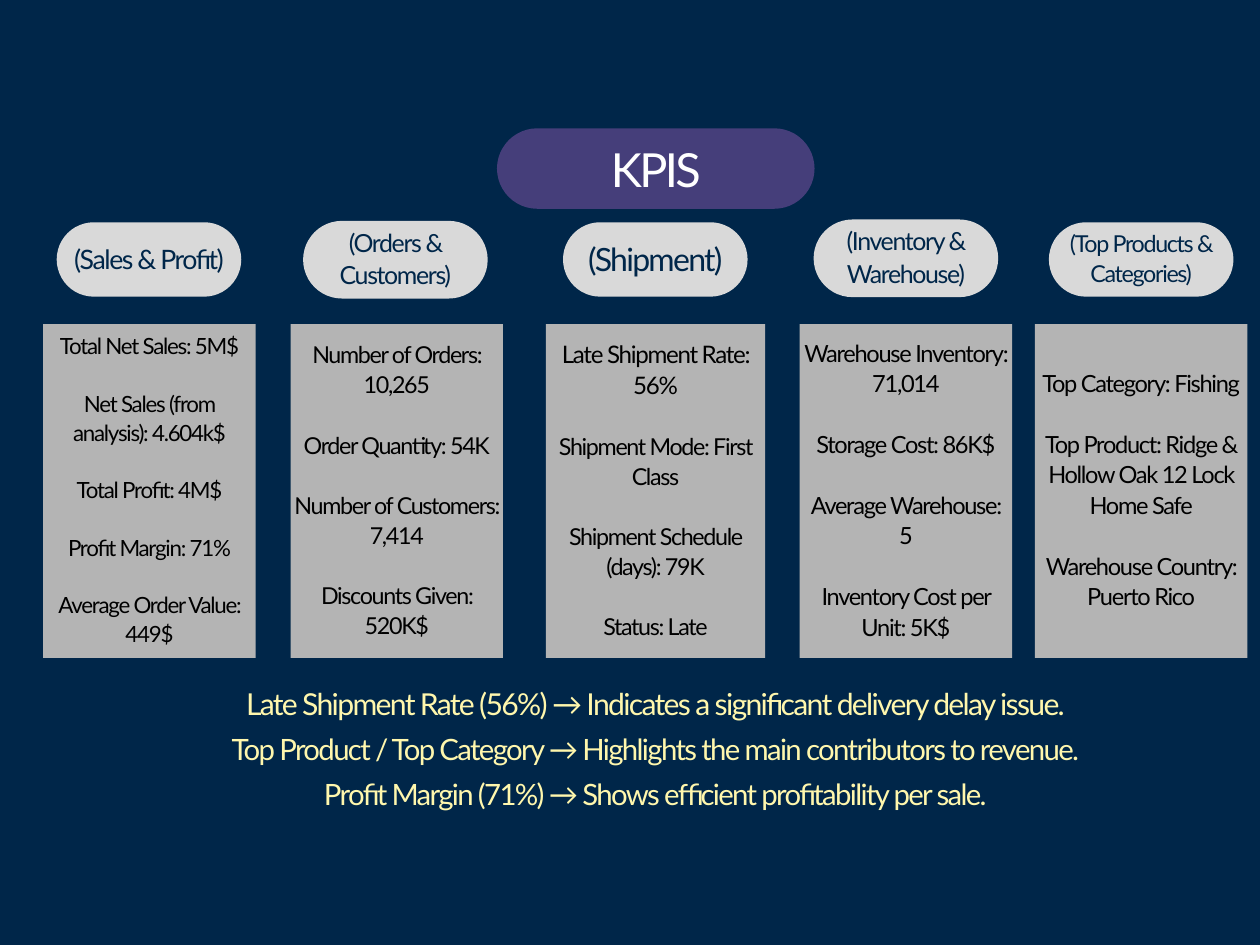
from dataclasses import dataclass

import pptx
import pptx.dml.color
import pptx.enum.shapes
import pptx.enum.text
import pptx.oxml
import pptx.oxml.ns
import pptx.shapes.autoshape
import pptx.slide
import pptx.text.text
import pptx.util

Cm = pptx.util.Cm
Pt = pptx.util.Pt
RGBColor = pptx.dml.color.RGBColor
Anchor = pptx.enum.text.MSO_ANCHOR
Preset = pptx.enum.shapes.MSO_SHAPE

NAVY = RGBColor(0x00, 0x26, 0x49)
PURPLE = RGBColor(0x45, 0x3E, 0x7A)
LIGHT_GREY = RGBColor(0xD9, 0xD9, 0xD9)
GREY = RGBColor(0xB4, 0xB4, 0xB4)
BLACK = RGBColor(0x00, 0x00, 0x00)
WHITE = RGBColor(0xFF, 0xFF, 0xFF)
CREAM = RGBColor(0xFF, 0xF7, 0xAD)

FONT = "Lato"
LEADING = 1.29  # line height, as a share of the font size
TRACKING = -0.055  # letter spacing, as a share of the font size
INSET = 0.08
LABEL_RISE = 0.1  # how far a label box starts above its pill
PILL_WIDTH = 3.97
PANEL_TOP, PANEL_HEIGHT = 6.97, 7.18


@dataclass
class Line:
    text: str
    size: float


@dataclass
class Box:
    """Place and size in centimetres."""
    left: float
    top: float
    width: float
    height: float

    def lengths(self) -> tuple:
        return Cm(self.left), Cm(self.top), Cm(self.width), Cm(self.height)


@dataclass
class KpiGroup:
    heading: Line
    pill: Box
    panel_left: float
    figures: list[Line]
    panel_width: float = 4.57


def lines(size: float, *texts: str) -> list[Line]:
    return [Line(text, size) for text in texts]


GROUPS = [
    KpiGroup(
        Line("(Sales & Profit)", 16.3), Box(1.22, 4.78, PILL_WIDTH, 1.6), 0.93,
        lines(13.6, "Total Net Sales: 5M$", "Net Sales (from analysis): 4.604k$",
              "Total Profit: 4M$", "Profit Margin: 71%", "Average Order Value: 449$")),
    KpiGroup(
        Line("(Orders & Customers)", 15.2), Box(6.52, 4.75, PILL_WIDTH, 1.67), 6.25,
        lines(14.2, "Number of Orders: 10,265", "Order Quantity: 54K",
              "Number of Customers: 7,414", "Discounts Given: 520K$")),
    KpiGroup(
        Line("(Shipment)", 19.5), Box(12.11, 4.78, PILL_WIDTH, 1.6), 11.74,
        lines(14.7, "Late Shipment Rate: 56%")
        + lines(14.2, "Shipment Mode: First Class", "Shipment Schedule (days): 79K",
                "Status: Late"),
        panel_width=4.72),
    KpiGroup(
        Line("(Inventory & Warehouse)", 15.2), Box(17.5, 4.72, PILL_WIDTH, 1.67), 17.2,
        lines(14.4, "Warehouse Inventory: 71,014", "Storage Cost: 86K$",
              "Average Warehouse: 5", "Inventory Cost per Unit: 5K$")),
    KpiGroup(
        Line("(Top Products & Categories)", 14.2), Box(22.56, 4.78, PILL_WIDTH, 1.6), 22.26,
        lines(14.4, "Top Category: Fishing",
              "Top Product: Ridge & Hollow Oak 12 Lock Home Safe",
              "Warehouse Country: Puerto Rico")),
]

TAKEAWAYS = [
    Line("Late Shipment Rate (56%) → Indicates a significant delivery delay issue.", 18.4),
    *lines(17.9, "Top Product / Top Category → Highlights the main contributors to revenue.",
           "Profit Margin (71%) → Shows efficient profitability per sale."),
]


def write(frame: pptx.text.text.TextFrame, content: list[Line], color: RGBColor,
          gap: float = LEADING, anchor: Anchor = Anchor.MIDDLE, extra_bottom: float = 0) -> None:
    """Fill a frame with centred paragraphs; gap is a share of the font size."""
    frame.word_wrap = True
    frame.auto_size = pptx.enum.text.MSO_AUTO_SIZE.NONE
    frame.vertical_anchor = anchor
    frame.margin_left = frame.margin_right = frame.margin_top = Cm(INSET)
    frame.margin_bottom = Cm(INSET + extra_bottom)
    frame.text = "\n".join(line.text for line in content)
    for index, (paragraph, line) in enumerate(zip(frame.paragraphs, content)):
        paragraph.alignment = pptx.enum.text.PP_ALIGN.CENTER
        paragraph.line_spacing = Pt(line.size * LEADING)
        paragraph.space_before = Pt(line.size * gap if index else 0)
        for run in paragraph.runs:
            run.font.name = FONT
            run.font.size = Pt(line.size)
            run.font.color.rgb = color
            run.font._element.set("spc", str(round(line.size * TRACKING * 100)))


def add_block(slide: pptx.slide.Slide, preset: Preset, box: Box,
              color: RGBColor) -> pptx.shapes.autoshape.Shape:
    block = slide.shapes.add_shape(preset, *box.lengths())
    block.shadow.inherit = False
    block.fill.solid()
    block.fill.fore_color.rgb = color
    block.line.fill.background()
    return block


def add_pill(slide: pptx.slide.Slide, box: Box, color: RGBColor) -> None:
    pill = add_block(slide, Preset.ROUNDED_RECTANGLE, box, color)
    pill.adjustments[0] = 0.5


def label_box(pill: Box) -> Box:
    return Box(pill.left, pill.top - LABEL_RISE, pill.width, pill.height + LABEL_RISE)


def place(shape: pptx.shapes.autoshape.Shape, box: Box) -> None:
    shape.left, shape.top, shape.width, shape.height = box.lengths()


def add_group(slide: pptx.slide.Slide, group: KpiGroup) -> None:
    add_pill(slide, group.pill, LIGHT_GREY)
    heading = slide.shapes.add_textbox(*label_box(group.pill).lengths())
    write(heading.text_frame, [group.heading], NAVY)
    panel_box = Box(group.panel_left, PANEL_TOP, group.panel_width, PANEL_HEIGHT)
    panel = add_block(slide, Preset.RECTANGLE, panel_box, GREY)
    write(panel.text_frame, group.figures, BLACK, extra_bottom=LABEL_RISE)


def add_title(slide: pptx.slide.Slide) -> None:
    """Lay the title over its pill, in front of it."""
    pill_box = Box(10.69, 2.76, 6.83, 1.73)
    add_pill(slide, pill_box, PURPLE)
    title = slide.shapes.title
    place(title, label_box(pill_box))
    write(title.text_frame, [Line("KPIS", 28.6)], WHITE)
    title._element.getparent().append(title._element)


def add_takeaways(slide: pptx.slide.Slide) -> None:
    takeaways = slide.placeholders[1]
    place(takeaways, Box(3.56, 14.6, 21.08, 3))
    write(takeaways.text_frame, TAKEAWAYS, CREAM, gap=0.24, anchor=Anchor.TOP)
    for paragraph in takeaways.text_frame.paragraphs:
        properties = paragraph._p.get_or_add_pPr()
        properties.set("marL", "0")
        properties.set("indent", "0")
        properties.append(pptx.oxml.parse_xml(
            f'<a:buNone {pptx.oxml.ns.nsdecls("a")}/>'))


def main() -> None:
    deck = pptx.Presentation()
    deck.slide_width, deck.slide_height = Cm(27.1), Cm(20.32)
    slide = deck.slides.add_slide(deck.slide_layouts[1])
    slide.background.fill.solid()
    slide.background.fill.fore_color.rgb = NAVY
    add_title(slide)
    for group in GROUPS:
        add_group(slide, group)
    add_takeaways(slide)
    deck.save("out.pptx")


if __name__ == "__main__":
    main()
